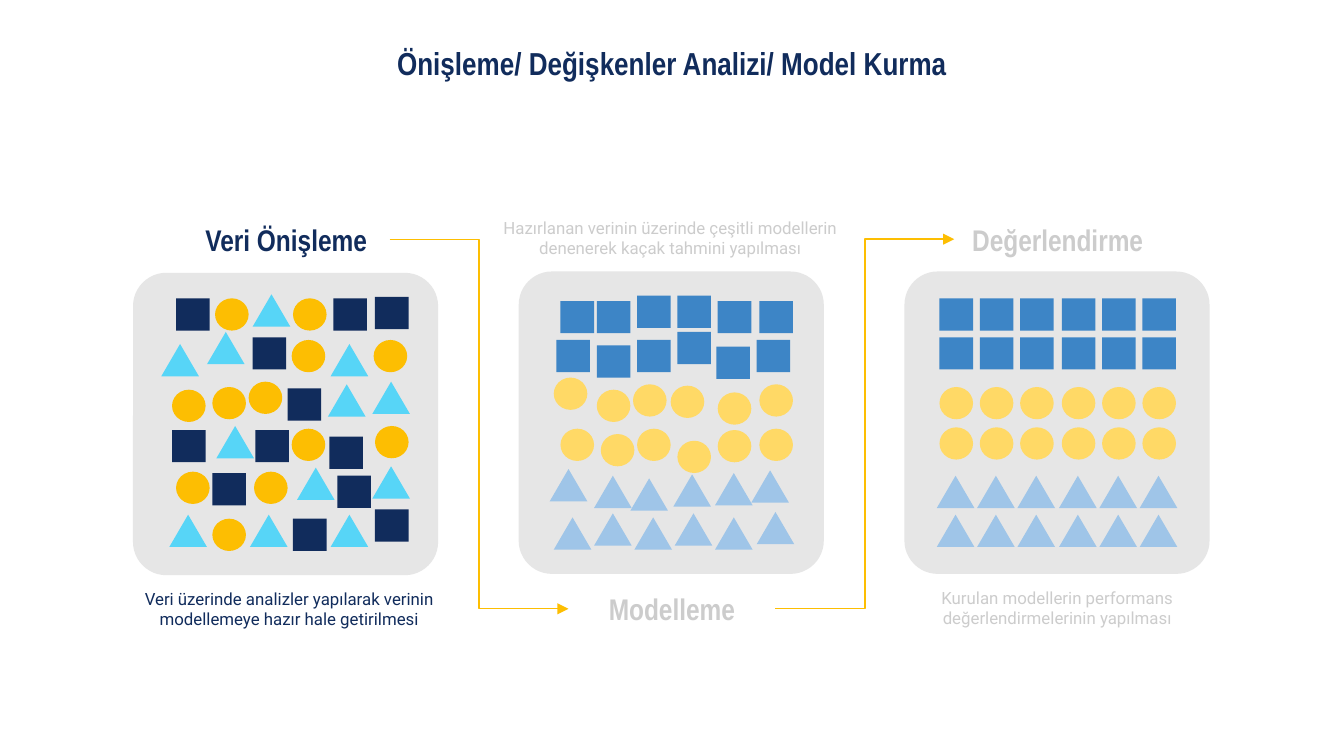
from dataclasses import dataclass

import pptx
import pptx.dml.color
import pptx.enum.shapes
import pptx.enum.text
import pptx.oxml.ns
import pptx.shapes.group
import pptx.slide
import pptx.text.text
import pptx.util
from lxml import etree

SCALE = 9144
SHAPE = pptx.enum.shapes.MSO_SHAPE
ANCHOR = pptx.enum.text.MSO_ANCHOR
Point = tuple[int, int]
Box = tuple[int, int, int, int]


@dataclass(frozen=True)
class Theme:
    navy: str = "112C5C"
    amber: str = "FDBE02"
    cyan: str = "57D5F7"
    blue: str = "3D85C6"
    soft_amber: str = "FFD966"
    soft_blue: str = "9FC5E8"
    muted: str = "CCCCCC"
    panel: str = "E6E6E6"
    heading_font: str = "Arial Narrow"
    body_font: str = "Roboto"
    title_size: int = 17
    heading_size: int = 16
    body_size: int = 9
    line_width: float = 0.75


THEME = Theme()


@dataclass(frozen=True)
class Stage:
    heading: str
    heading_box: Box
    caption: str
    caption_box: Box
    caption_anchor: ANCHOR
    panel: Point
    color: str


@dataclass(frozen=True)
class Marks:
    kind: SHAPE
    color: str
    points: list[Point]


STAGES = [
    Stage("Değerlendirme", (710, 161, 154, 34),
          "Kurulan modellerin performans değerlendirmelerinin yapılması",
          (673, 427, 227, 69), ANCHOR.TOP, (673, 202), THEME.muted),
    Stage("Modelleme", (423, 436, 154, 34),
          "Hazırlanan verinin üzerinde çeşitli modellerin denenerek kaçak tahmini yapılması",
          (363, 134, 271, 68), ANCHOR.BOTTOM, (386, 202), THEME.muted),
    Stage("Veri Önişleme", (136, 161, 154, 34),
          "Veri üzerinde analizler yapılarak verinin modellemeye hazır hale getirilmesi",
          (91, 428, 248, 68), ANCHOR.TOP, (99, 203), THEME.navy),
]


def grid(left: int, tops: tuple[int, int]) -> list[Point]:
    return [(round(left + 30.2 * col), top) for top in tops for col in range(6)]


SORTED_NEATLY = [
    Marks(SHAPE.RECTANGLE, THEME.blue, grid(699, (222, 251))),
    Marks(SHAPE.OVAL, THEME.soft_amber, grid(699, (288, 318))),
    Marks(SHAPE.ISOSCELES_TRIANGLE, THEME.soft_blue, grid(697, (354, 383))),
]
SORTED_LOOSELY = [
    Marks(SHAPE.RECTANGLE, THEME.blue, [
        (417, 224), (444, 224), (474, 220), (504, 220), (534, 224), (565, 224),
        (414, 253), (444, 257), (474, 253), (504, 247), (533, 258), (563, 253)]),
    Marks(SHAPE.OVAL, THEME.soft_amber, [
        (412, 281), (444, 290), (471, 286), (499, 287), (534, 292), (565, 286),
        (417, 319), (447, 323), (474, 319), (504, 328), (534, 320), (565, 319)]),
    Marks(SHAPE.ISOSCELES_TRIANGLE, THEME.soft_blue, [
        (409, 349), (442, 354), (469, 356), (501, 353), (532, 352), (559, 350),
        (412, 385), (442, 382), (472, 385), (502, 382), (532, 385), (563, 381)]),
]
MIXED = [
    Marks(SHAPE.RECTANGLE, THEME.navy, [
        (131, 222), (248, 222), (279, 221), (188, 251), (214, 289), (128, 320),
        (190, 320), (245, 325), (158, 352), (251, 354), (218, 386), (279, 379)]),
    Marks(SHAPE.OVAL, THEME.amber, [
        (160, 222), (218, 222), (217, 253), (278, 253), (128, 290), (158, 288),
        (185, 284), (217, 319), (279, 317), (131, 351), (189, 351), (158, 386)]),
    Marks(SHAPE.ISOSCELES_TRIANGLE, THEME.cyan, [
        (188, 219), (120, 256), (154, 247), (246, 256), (244, 286), (277, 284),
        (161, 317), (221, 348), (277, 347), (126, 383), (186, 383), (246, 383)]),
]
ARROWS = [((290, 178), (423, 453)), ((577, 453), (710, 178))]


def emu(*lengths: int) -> list[int]:
    return [pptx.util.Emu(length * SCALE) for length in lengths]


def rgb(color: str) -> pptx.dml.color.RGBColor:
    return pptx.dml.color.RGBColor.from_string(color)


def write(tf: pptx.text.text.TextFrame, text: str, *, font: str, size: int, color: str,
          bold: bool = False, anchor: ANCHOR = ANCHOR.MIDDLE) -> None:
    tf.word_wrap = True
    tf.auto_size = pptx.enum.text.MSO_AUTO_SIZE.NONE
    tf.vertical_anchor = anchor
    tf.margin_left, tf.margin_top, tf.margin_right, tf.margin_bottom = emu(10, 10, 10, 10)
    p = tf.paragraphs[0]
    p.alignment = pptx.enum.text.PP_ALIGN.CENTER
    r = p.add_run()
    r.text = text
    r.font.name = font
    r.font.size = pptx.util.Pt(size)
    r.font.bold = bold
    r.font.color.rgb = rgb(color)


def draw_shape(g: pptx.shapes.group.GroupShape, kind: SHAPE, box: Box, color: str):
    sp = g.shapes.add_shape(kind, *emu(*box))
    sp.shadow.inherit = False
    sp.fill.solid()
    sp.fill.fore_color.rgb = rgb(color)
    sp.line.fill.background()
    return sp


def draw_stage(s: pptx.slide.Slide, stage: Stage) -> None:
    g = s.shapes.add_group_shape()
    panel = draw_shape(g, SHAPE.ROUNDED_RECTANGLE, (*stage.panel, 227, 225), THEME.panel)
    panel.adjustments[0] = 0.11
    heading = g.shapes.add_textbox(*emu(*stage.heading_box))
    write(heading.text_frame, stage.heading, font=THEME.heading_font,
          size=THEME.heading_size, color=stage.color, bold=True)
    caption = g.shapes.add_textbox(*emu(*stage.caption_box))
    write(caption.text_frame, stage.caption, font=THEME.body_font,
          size=THEME.body_size, color=stage.color, anchor=stage.caption_anchor)


def draw_marks(s: pptx.slide.Slide, sets: list[Marks]) -> None:
    g = s.shapes.add_group_shape()
    for marks in sets:
        width = 28 if marks.kind == SHAPE.ISOSCELES_TRIANGLE else 25
        for left, top in marks.points:
            draw_shape(g, marks.kind, (left, top, width, 24), marks.color)


def draw_arrow(s: pptx.slide.Slide, start: Point, end: Point) -> None:
    kind = pptx.enum.shapes.MSO_CONNECTOR.ELBOW
    cxn = s.shapes.add_connector(kind, *emu(*start, *end))
    cxn.line.color.rgb = rgb(THEME.amber)
    cxn.line.width = pptx.util.Pt(THEME.line_width)
    qn = pptx.oxml.ns.qn
    etree.SubElement(cxn.line._get_or_add_ln(), qn("a:tailEnd"), type="triangle")
    etree.SubElement(cxn._element.spPr, qn("a:effectLst"))


def main() -> None:
    prs = pptx.Presentation()
    prs.slide_width = pptx.util.Emu(1000 * SCALE)
    prs.slide_height = pptx.util.Emu(prs.slide_width * 9 // 16)
    s = prs.slides.add_slide(prs.slide_layouts[5])
    title = s.shapes.title
    title.left, title.top, title.width, title.height = emu(0, 15, 1000, 63)
    write(title.text_frame, "Önişleme/ Değişkenler Analizi/ Model Kurma",
          font=THEME.heading_font, size=THEME.title_size, color=THEME.navy, bold=True)
    for stage in STAGES:
        draw_stage(s, stage)
    for sets in (SORTED_NEATLY, SORTED_LOOSELY, MIXED):
        draw_marks(s, sets)
    for start, end in ARROWS:
        draw_arrow(s, start, end)
    prs.save("out.pptx")


if __name__ == "__main__":
    main()
